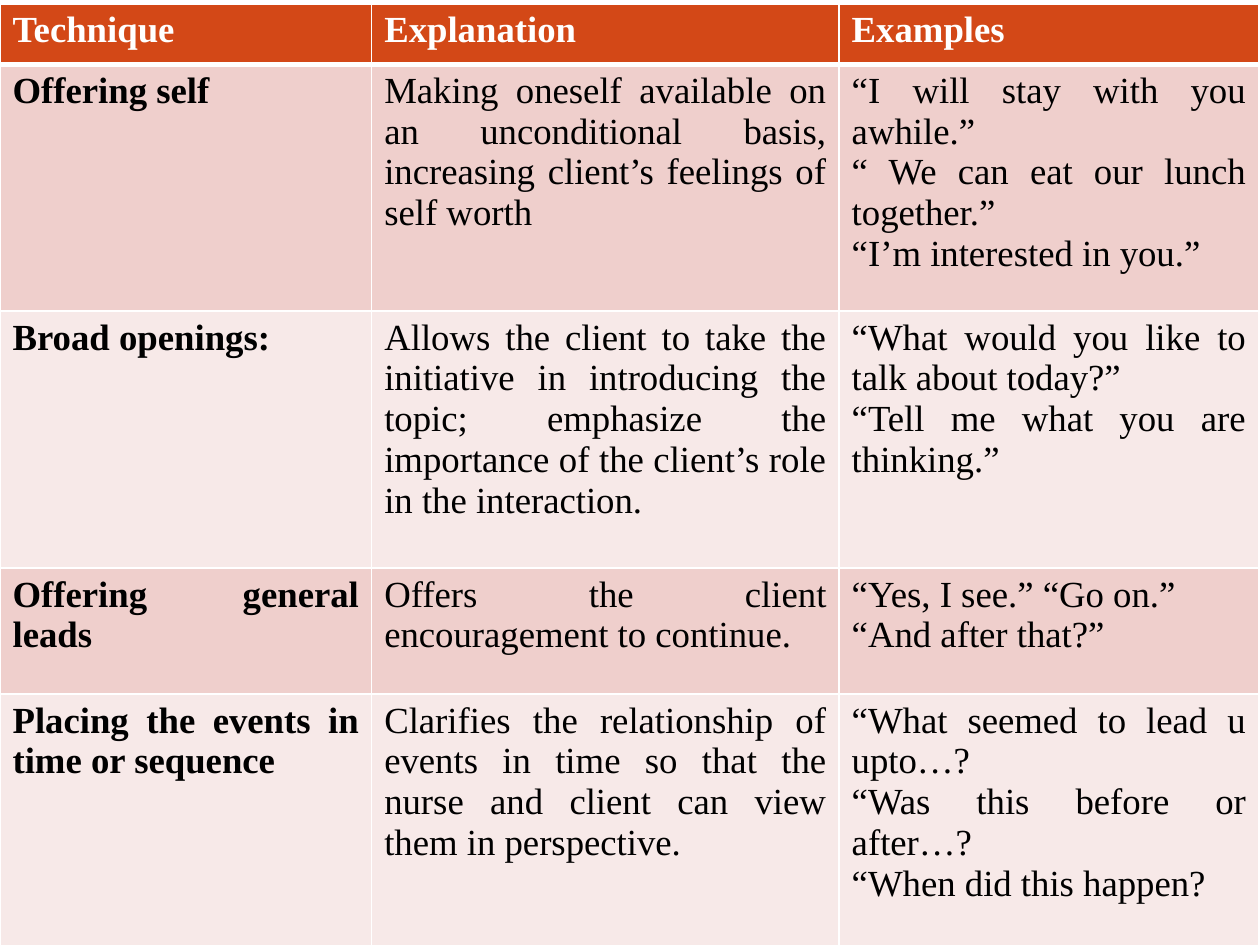
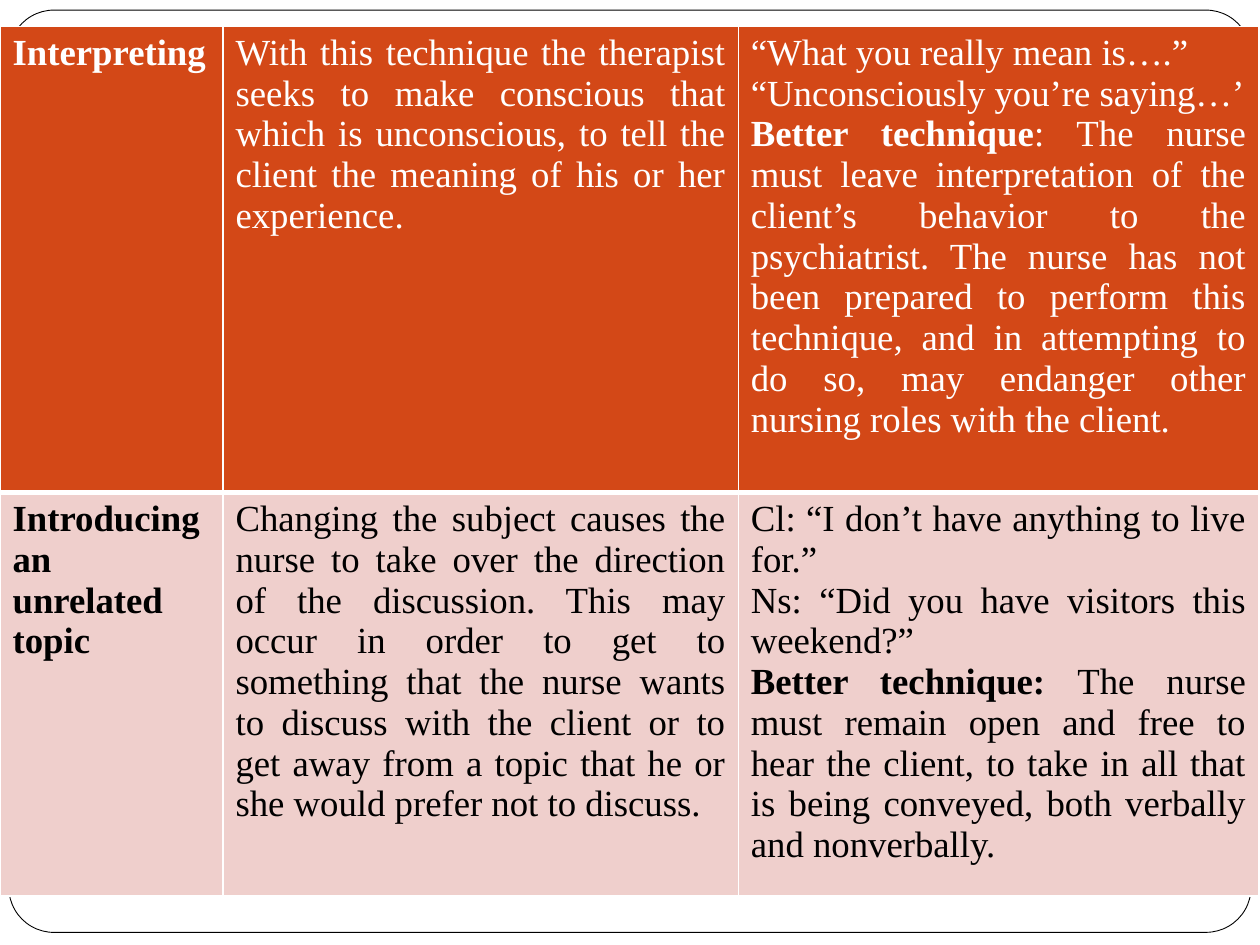
from pptx import Presentation
from pptx.dml.color import RGBColor
from pptx.enum.shapes import MSO_SHAPE
from pptx.enum.text import PP_ALIGN
from pptx.oxml import parse_xml
from pptx.oxml.ns import nsdecls
from pptx.util import Inches, Pt

ROUNDED = MSO_SHAPE.ROUNDED_RECTANGLE
JUSTIFY = PP_ALIGN.JUSTIFY

COLORS = {
    "header": "D34817",
    "band_dark": "EFCFCC",
    "band_light": "F7E9E8",
    "white": "FFFFFF",
    "black": "000000",
}
TEXT_FORMAT = {"name": "Times New Roman", "size": Pt(21)}
THIN, THICK = 1, 3

# A cell is a list of paragraphs; a paragraph is plain text or (bold lead, rest).
TABLES = [
    {
        "top": 0.03,
        "cols": [2.95, 3.71, 3.33],
        "heights": [0.48, 1.96, 2.04, 1, 2.02],
        "rows": [
            [[("Technique", "")], [("Explanation", "")], [("Examples", "")]],
            [
                [("Offering self", "")],
                ["Making oneself available on an unconditional basis, increasing "
                 "client’s feelings of self worth"],
                ["“I will stay with you awhile.”",
                 "“ We can eat our lunch together.”",
                 "“I’m interested in you.”"],
            ],
            [
                [("Broad openings:", "")],
                ["Allows the client to take the initiative in introducing the topic; "
                 "emphasize the importance of the client’s role in the interaction."],
                ["“What would you like to talk about today?”",
                 "“Tell me what you are thinking.”"],
            ],
            [
                [("Offering general leads", "")],
                ["Offers the client encouragement to continue."],
                ["“Yes, I see.” “Go on.”", "“And after that?”"],
            ],
            [
                [("Placing the events in time or sequence", "")],
                ["Clarifies the relationship of events in time so that the nurse and "
                 "client can view them in perspective."],
                ["“What seemed to lead u upto…?",
                 "“Was this before or after…?",
                 "“When did this happen?"],
            ],
        ],
    },
    {
        "top": 0.21,
        "cols": [1.77, 4.09, 4.13],
        "heights": [3.7, 3.2],
        "rows": [
            [
                [("Interpreting", "")],
                ["With this technique the therapist seeks to make conscious that which "
                 "is unconscious, to tell the client the meaning of his or her experience."],
                ["“What you really mean is….”",
                 "“Unconsciously you’re saying…’",
                 ("Better technique",
                  ": The nurse must leave interpretation of the client’s behavior to the "
                  "psychiatrist. The nurse has not been prepared to perform this technique, "
                  "and in attempting to do so, may endanger other nursing roles with the "
                  "client.")],
            ],
            [
                [("Introducing an unrelated topic", "")],
                ["Changing the subject causes the nurse to take over the direction of the "
                 "discussion. This may occur in order to get to something that the nurse "
                 "wants to discuss with the client or to get away from a topic that he or "
                 "she would prefer not to discuss."],
                ["Cl: “I don’t have anything to live for.”",
                 "Ns: “Did you have visitors this weekend?”",
                 ("Better technique: ",
                  "The nurse must remain open and free to hear the client, to take in all "
                  "that is being conveyed, both verbally and nonverbally.")],
            ],
        ],
    },
]


def rgb(name):
    return RGBColor.from_string(COLORS[name])


def add_frame(slide):
    sp = slide.shapes.add_shape(ROUNDED, Inches(0.07), Inches(0.08),
                                Inches(9.86), Inches(7.32))
    sp.adjustments[0] = 0.049
    sp.shadow.inherit = False
    sp.fill.solid()
    sp.fill.fore_color.rgb = rgb("white")
    sp.line.color.rgb = rgb("black")
    sp.line.width = Pt(0.5)


def set_borders(cell, row):
    """White rules, with a thick one between the header row and the body."""
    widths = {"L": THIN, "R": THIN,
              "T": THICK if row == 1 else THIN,
              "B": THICK if row == 0 else THIN}
    tc_pr = cell._tc.get_or_add_tcPr()
    for side, width in widths.items():
        tc_pr.append(parse_xml(
            f'<a:ln{side} {nsdecls("a")} w="{Pt(width)}"><a:solidFill>'
            f'<a:srgbClr val="{COLORS["white"]}"/></a:solidFill></a:ln{side}>'))


def write_cell(cell, paragraphs, color):
    tf = cell.text_frame
    for i, paragraph in enumerate(paragraphs):
        p = tf.add_paragraph() if i else tf.paragraphs[0]
        p.alignment = JUSTIFY
        lead, rest = ("", paragraph) if isinstance(paragraph, str) else paragraph
        for text, bold in ((lead, True), (rest, False)):
            if not text:
                continue
            r = p.add_run()
            r.text = text
            for key, value in {**TEXT_FORMAT, "bold": bold}.items():
                setattr(r.font, key, value)
            r.font.color.rgb = rgb(color)


def add_technique_table(slide, data):
    rows, cols, heights = data["rows"], data["cols"], data["heights"]
    table = slide.shapes.add_table(
        len(rows), len(cols), 0, Inches(data["top"]),
        Inches(sum(cols)), Inches(sum(heights))).table
    table.horz_banding = False
    for column, width in zip(table.columns, cols):
        column.width = Inches(width)
    for i, (row, height) in enumerate(zip(rows, heights)):
        table.rows[i].height = Inches(height)
        band = "header" if i == 0 else "band_dark" if i % 2 else "band_light"
        for j, paragraphs in enumerate(row):
            cell = table.cell(i, j)
            set_borders(cell, i)
            cell.fill.solid()
            cell.fill.fore_color.rgb = rgb(band)
            write_cell(cell, paragraphs, "black" if i else "white")


def main():
    prs = Presentation()
    prs.slide_width, prs.slide_height = Inches(10), Inches(7.5)
    for data in TABLES:
        slide = prs.slides.add_slide(prs.slide_layouts[6])
        add_frame(slide)
        add_technique_table(slide, data)
    prs.save("out.pptx")


if __name__ == "__main__":
    main()
